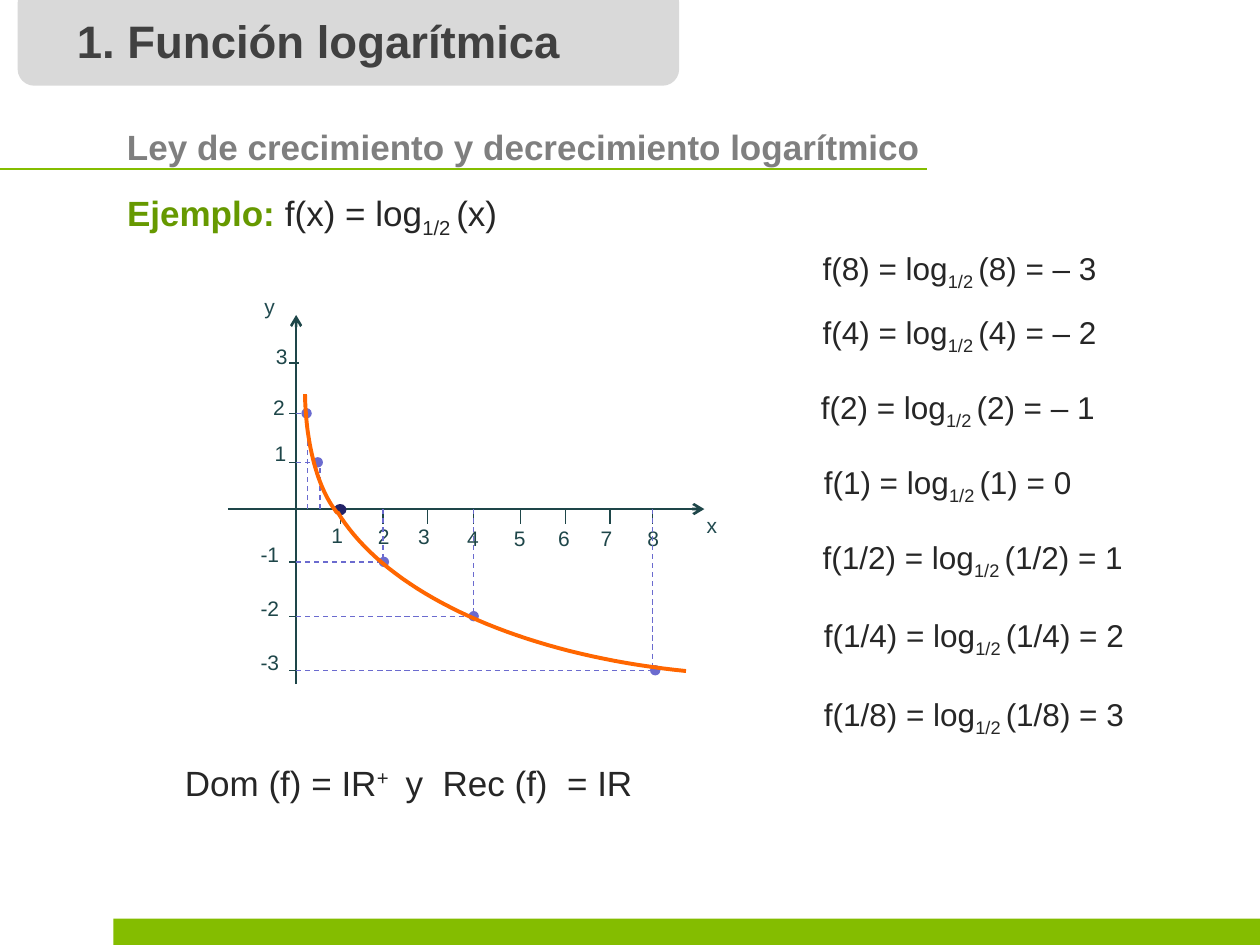
"""Build the slide on the logarithmic function with base one half."""
from math import cos, radians, sin

from lxml.etree import SubElement
from pptx import Presentation
from pptx.dml.color import RGBColor
from pptx.enum.dml import MSO_LINE
from pptx.enum.shapes import MSO_CONNECTOR, MSO_SHAPE
from pptx.enum.text import MSO_ANCHOR, PP_ALIGN
from pptx.oxml.ns import qn
from pptx.util import Pt


class Theme:
    font = "Arial"
    green, lime, grey = "669900", "84BD00", "D9D9D9"
    title, subtitle, ink = "404040", "7F7F7F", "262626"
    axis, name, guide = "1E4649", "224B50", "6B6BCF"
    root, curve = "222267", "FF6600"
    title_size, body_size, formula_size, label_size = 26, 20, 18, 12


TITLE = "1. Función logarítmica"
SUBTITLE = "Ley de crecimiento y decrecimiento logarítmico"
EXAMPLE = [("Ejemplo: ", 0), ("f(x) = log", 0), ("1/2 ", -25), ("(x)", 0)]
DOMAIN = [("Dom (f) = IR", 0), ("+   ", 30), ("y  Rec (f)  = IR", 0)]
FORMULAS = [
    ("8", "– 3", 463, 133.9),
    ("4", "– 2", 463, 170.6),
    ("2", "– 1", 462, 213.4),
    ("1", "0", 463.7, 256.3),
    ("1/2", "1", 463, 298.8),
    ("1/4", "2", 463.7, 343.5),
    ("1/8", "3", 463.7, 389),
]
ORIGIN_X, ORIGIN_Y = 169.2, 290.9
X_TICKS = {1: 194.4, 2: 218.9, 3: 244.1, 4: 270.7, 5: 297.4, 6: 323.3, 7: 348.5, 8: 373}
Y_TICKS = {3: 207.4, 2: 236.2, 1: 264.2, -1: 321.1, -2: 352.1, -3: 383}
LABELS = [
    ("1", 182.2, 295.2), ("2", 208.8, 295.9), ("3", 231.8, 295.9), ("4", 259.9, 296.6),
    ("5", 286.6, 296.6), ("6", 311.8, 296.6), ("7", 336.2, 296.6), ("8", 362.9, 296.6),
    ("3", 150.5, 193), ("2", 149, 221.8), ("1", 149.8, 248.4),
    ("-1", 141.8, 306), ("-2", 141.8, 337), ("-3", 141.8, 367.9),
]
AXIS_NAMES = [("y", 144, 164.2), ("x", 396.7, 289.4)]
POINTS = [
    (175.2, 175.7, Y_TICKS[2]), (181.6, 182.9, Y_TICKS[1]),
    (219.4, X_TICKS[2], Y_TICKS[-1]), (X_TICKS[4], X_TICKS[4], Y_TICKS[-2]),
    (374.4, X_TICKS[8], Y_TICKS[-3]),
]
ARCS = [
    ((208.1, 222.5), (33.8, 79.2), 178, 117),
    ((441.7, 253.8), (260.3, 132.1), 163, 101),
]


def rgb(value):
    return RGBColor.from_string(value)


def style(font, size, color, bold=False):
    font.name, font.size, font.bold = Theme.font, Pt(size), bold
    font.color.rgb = rgb(color)


def write(shape, runs, size, color, bold=False, spacing=None):
    tf = shape.text_frame
    tf.word_wrap, tf.vertical_anchor = True, MSO_ANCHOR.TOP
    tf.margin_left = tf.margin_right = Pt(7.2)
    tf.margin_top = tf.margin_bottom = Pt(3.6)
    p = tf.paragraphs[0]
    p.alignment = PP_ALIGN.LEFT
    if spacing:
        p.line_spacing = spacing
    for text, baseline in runs:
        r = p.add_run()
        r.text = text
        if baseline:
            r._r.get_or_add_rPr().set("baseline", str(baseline * 1000))
    style(p.font, size, color, bold)
    return p


def add_text(s, box, runs, *look, **options):
    return write(s.shapes.add_textbox(*map(Pt, box)), runs, *look, **options)


def add_block(s, kind, box, color):
    sp = s.shapes.add_shape(kind, *map(Pt, box))
    sp.shadow.inherit = False
    sp.fill.solid()
    sp.fill.fore_color.rgb = rgb(color)
    sp.line.fill.background()
    return sp


def add_line(s, ends, color, width=0.75, dash=False, tail=None):
    line = s.shapes.add_connector(MSO_CONNECTOR.STRAIGHT, *map(Pt, ends))
    line.line.color.rgb, line.line.width = rgb(color), Pt(width)
    if dash:
        line.line.dash_style = MSO_LINE.DASH
    if tail:
        SubElement(line.line._get_or_add_ln(), qn("a:tailEnd"), type=tail)
    SubElement(line._element.spPr, qn("a:effectLst"))


def add_arc(s, center, radii, start, end, steps=40):
    angles = [radians(start + (end - start) * i / steps) for i in range(steps + 1)]
    points = [(Pt(center[0] + radii[0] * cos(a)), Pt(center[1] + radii[1] * sin(a))) for a in angles]
    builder = s.shapes.build_freeform(*points[0])
    builder.add_line_segments(points[1:], close=False)
    sp = builder.convert_to_shape()
    sp.shadow.inherit = False
    sp.fill.background()
    sp.line.color.rgb, sp.line.width = rgb(Theme.curve), Pt(2.25)


def add_header(s):
    tab = add_block(s, MSO_SHAPE.ROUNDED_RECTANGLE, (10.1, -7.9, 378, 56.9), Theme.grey)
    title = s.shapes.title
    title._element.addprevious(tab._element)
    title.left, title.top, title.width, title.height = map(Pt, (36.7, 3.6, 396.7, 38.9))
    write(title, [(TITLE, 0)], Theme.title_size, Theme.title, True)
    add_text(s, (65.5, 68.4, 471, 31.7), [(SUBTITLE, 0)], Theme.body_size, Theme.subtitle, True)
    add_line(s, (0, 96.5, 530, 96.5), Theme.lime)


def add_graph(s):
    add_line(s, (130.3, ORIGIN_Y, 402.5, ORIGIN_Y), Theme.axis, 1.5, tail="arrow")
    add_line(s, (ORIGIN_X, 391, ORIGIN_X, 180), Theme.axis, 1.5, tail="arrow")
    for x in X_TICKS.values():
        add_line(s, (x, ORIGIN_Y, x, ORIGIN_Y + 8.6), Theme.axis)
    for y in Y_TICKS.values():
        add_line(s, (ORIGIN_X + 1.4, y, ORIGIN_X - 4.3, y), Theme.axis)
    for labels, color in ((LABELS, Theme.axis), (AXIS_NAMES, Theme.name)):
        for text, left, top in labels:
            add_text(s, (left, top, 32, 21.6), [(text, 0)], Theme.label_size, color)
    for x, foot, y in POINTS:
        add_line(s, (foot, ORIGIN_Y, foot, y), Theme.guide, dash=True)
        add_line(s, (ORIGIN_X, y, x, y), Theme.guide, dash=True, tail="oval")
    add_block(s, MSO_SHAPE.OVAL, (190.8, 288, 7.2, 6.5), Theme.root)
    for arc in ARCS:
        add_arc(s, *arc)


def main():
    prs = Presentation()
    prs.slide_width, prs.slide_height = Pt(720), Pt(540)
    s = prs.slides.add_slide(prs.slide_layouts[5])
    add_block(s, MSO_SHAPE.RECTANGLE, (64.8, 524.9, 655.2, 15.1), Theme.lime)
    add_header(s)
    p = add_text(s, (65.5, 105.8, 231, 31.7), EXAMPLE, Theme.body_size, Theme.ink)
    style(p.runs[0].font, Theme.body_size, Theme.green, True)
    add_text(s, (98.6, 434.2, 280, 28.8), DOMAIN, Theme.body_size, Theme.ink, spacing=0.9)
    add_graph(s)
    for arg, value, left, top in FORMULAS:
        runs = [(f"f({arg}) = log", 0), ("1/2 ", -25), (f"({arg}) = {value}", 0)]
        add_text(s, (left, top, 203, 33), runs, Theme.formula_size, Theme.ink, spacing=1.2)
    prs.save("out.pptx")


if __name__ == "__main__":
    main()
